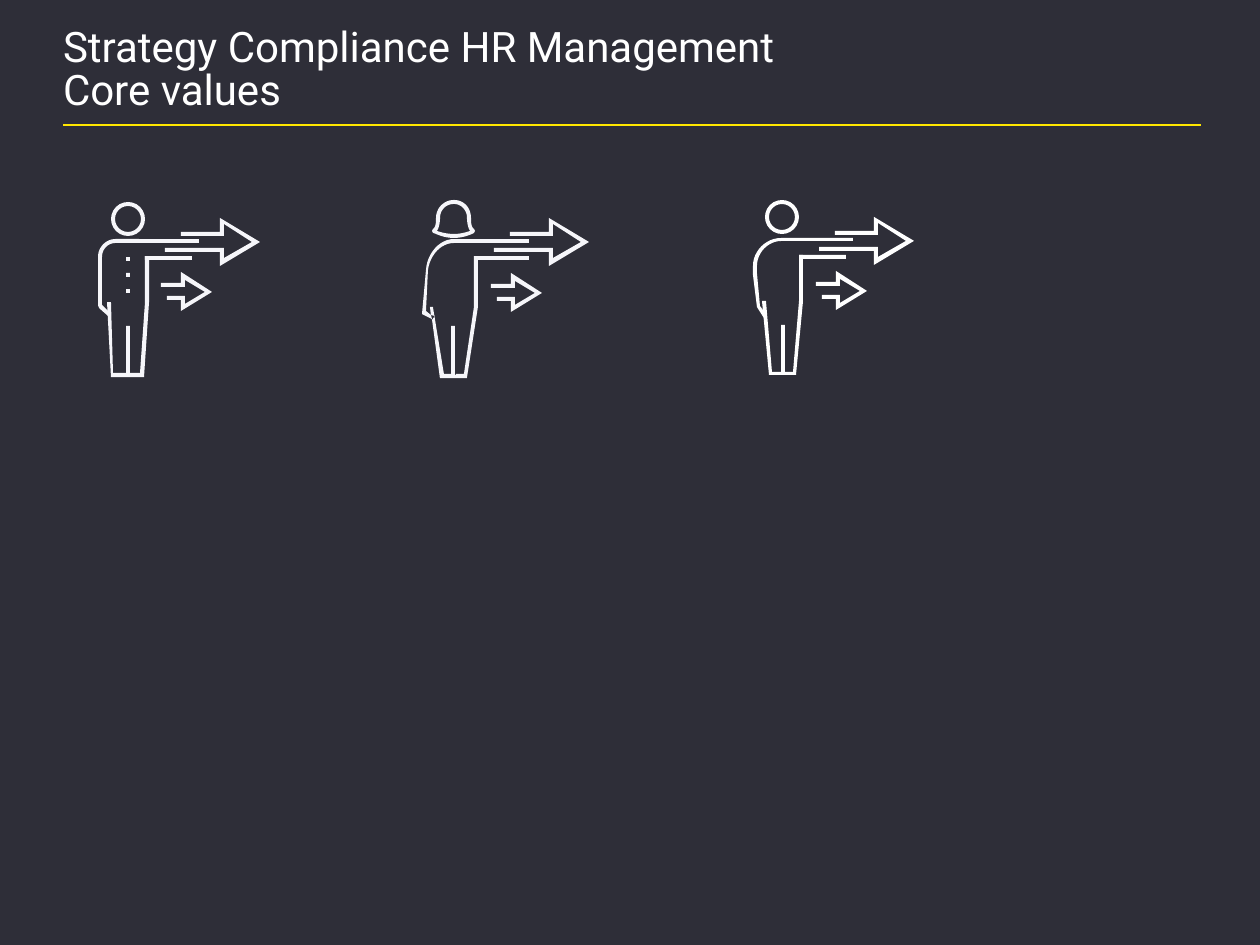
"""Build a slide with three pointing figures under a two-line title."""
from dataclasses import dataclass

import pptx
import pptx.dml.color
import pptx.enum.shapes
import pptx.enum.text
import pptx.oxml
import pptx.oxml.ns
import pptx.shapes.autoshape
import pptx.shapes.shapetree
import pptx.slide
import pptx.util

EMU_PER_PX = 914400 / 126
CURVE_STEPS = 12
STROKE = 4
BACKGROUND, RULE, WHITE, PALE = "2E2E38", "FFE600", "FFFFFF", "F6F6FA"
SHAPES = pptx.enum.shapes.MSO_SHAPE

Point = tuple[float, float]
Step = tuple[int, ...]
Outline = tuple[Step, ...]
Box = tuple[int, int, int, int]

LARGE_ARROW: Outline = (
    (55, 48), (55, 34), (0, 34), (0, 30), (59, 30), (59, 40), (87, 24),
    (59, 6), (59, 18), (16, 18), (16, 14), (55, 14), (55, 0), (95, 24))
SMALL_ARROW: Outline = (
    (20, 39), (20, 28), (6, 28), (6, 24), (24, 24), (24, 32), (44, 20),
    (24, 8), (24, 15), (0, 15), (0, 11), (20, 11), (20, 0), (51, 20))


@dataclass(frozen=True)
class Figure:
    """A person: an outline step has 2 numbers for a line, 6 for a curve."""
    colour: str
    large_arrow: tuple[int, int]
    small_arrow: tuple[int, int]
    bars: tuple[Box, ...]
    bodies: tuple[tuple[Outline, ...], ...]
    head: Box | None = None


BUTTONED = Figure(
    PALE, (165, 218), (161, 272),
    bars=((126, 239, 73, STROKE), (145, 256, 47, STROKE), (126, 326, STROKE, 49),
          *((126, 257 + 16 * row, STROKE, STROKE) for row in range(3))),
    bodies=(
        (((139, 239), (116, 239), (106, 239, 98, 247, 98, 257), (98, 304),
          (98, 305, 98, 307, 100, 309), (108, 316), (111, 314), (103, 306),
          (102, 305, 102, 305, 102, 304), (102, 257),
          (102, 249, 108, 243, 116, 243), (139, 243)),),
        (((145, 256), (145, 302), (140, 373), (113, 373), (111, 302), (107, 302),
          (111, 377), (144, 377), (149, 302), (149, 256)),)),
    head=(111, 202, 34, 34))

LONG_HAIRED = Figure(
    PALE, (494, 218), (491, 273),
    bars=((452, 239, 77, STROKE), (451, 326, STROKE, 49)),
    bodies=(
        (((454, 238), (465, 238, 474, 233, 474, 233), (475, 231), (474, 229),
          (471, 227, 471, 222, 471, 218), (471, 208, 464, 200, 454, 200),
          (444, 200, 436, 208, 436, 218), (436, 222, 436, 227, 433, 229),
          (432, 231), (433, 233), (435, 233, 442, 238, 454, 238)),
         ((440, 218), (440, 210, 446, 204, 454, 204), (461, 204, 467, 210, 467, 218),
          (467, 219, 467, 226, 470, 231), (467, 232, 461, 234, 454, 234),
          (446, 234, 440, 232, 437, 231), (440, 226, 440, 219, 440, 218))),
        (((426, 311), (428, 270), (430, 255, 441, 243, 454, 243), (454, 239),
          (440, 239, 427, 253, 426, 270), (422, 314), (432, 319), (431, 315)),),
        (((474, 256), (474, 307), (464, 374), (456, 374), (456, 375), (451, 375),
          (451, 374), (444, 374), (433, 307), (430, 307), (431, 315), (435, 316),
          (432, 320), (432, 319), (440, 378), (467, 378), (478, 307), (478, 260),
          (529, 260), (529, 256)),)))

PLAIN = Figure(
    WHITE, (819, 217), (816, 271),
    bars=((781, 325, STROKE, 49), (781, 238, 72, 3),
          (799, 255, STROKE, 47), (799, 255, 47, STROKE)),
    bodies=(
        (((796, 375), (769, 375), (762, 301), (766, 301), (772, 372), (793, 372),
          (799, 301), (803, 301)),),
        (((781, 238), (766, 238, 753, 251, 753, 266), (753, 275), (757, 307),
          (764, 318), (767, 315), (760, 306), (757, 273), (757, 266),
          (757, 252, 769, 241, 781, 241)),)),
    head=(765, 200, 34, 34))


def px(length: float) -> pptx.util.Emu:
    """Turn pixels into EMU."""
    return pptx.util.Emu(round(length * EMU_PER_PX))


def rgb(colour: str) -> pptx.dml.color.RGBColor:
    """Turn a hex string into a colour."""
    return pptx.dml.color.RGBColor.from_string(colour)


def paint(shape: pptx.shapes.autoshape.Shape, colour: str) -> None:
    """Give a shape a flat fill with no line or shadow."""
    shape.shadow.inherit = False
    shape.fill.solid()
    shape.fill.fore_color.rgb = rgb(colour)
    shape.line.fill.background()


def flatten(outline: Outline) -> list[Point]:
    """Turn the lines and cubic curves of an outline into EMU points."""
    points: list[Point] = [outline[0]]
    for step in outline[1:]:
        if len(step) == 2:
            points.append(step)
            continue
        controls = (points[-1], step[:2], step[2:4], step[4:])
        for index in range(1, CURVE_STEPS + 1):
            t = index / CURVE_STEPS
            weights = ((1 - t) ** 3, 3 * t * (1 - t) ** 2, 3 * t * t * (1 - t), t ** 3)
            x, y = (sum(w * c[axis] for w, c in zip(weights, controls)) for axis in (0, 1))
            points.append((x, y))
    return [(px(x), px(y)) for x, y in points]


def draw_outlines(shapes: pptx.shapes.shapetree.GroupShapes,
                  outlines: tuple[Outline, ...], colour: str) -> None:
    """Draw closed outlines as one filled freeform."""
    contours = [flatten(outline) for outline in outlines]
    builder = shapes.build_freeform(*contours[0][0])
    builder.add_line_segments(contours[0][1:], close=True)
    for contour in contours[1:]:
        builder.move_to(*contour[0])
        builder.add_line_segments(contour[1:], close=True)
    paint(builder.convert_to_shape(), colour)


def draw_figure(slide: pptx.slide.Slide, figure: Figure) -> None:
    """Draw one person with both arrows as a group."""
    shapes = slide.shapes.add_group_shape().shapes
    for arrow, (left, top) in ((LARGE_ARROW, figure.large_arrow),
                               (SMALL_ARROW, figure.small_arrow)):
        placed = tuple((left + x, top + y) for x, y in arrow)
        draw_outlines(shapes, (placed,), figure.colour)
    for bar in figure.bars:
        paint(shapes.add_shape(SHAPES.RECTANGLE, *map(px, bar)), figure.colour)
    if figure.head:
        head = shapes.add_shape(SHAPES.DONUT, *map(px, figure.head))
        head.adjustments[0] = STROKE / figure.head[2]
        paint(head, figure.colour)
    for body in figure.bodies:
        draw_outlines(shapes, body, figure.colour)


def draw_heading(slide: pptx.slide.Slide) -> None:
    """Fill the title and underline it."""
    title = slide.shapes.title
    title.left, title.top, title.width, title.height = map(px, (63, 28, 1134, 82))
    frame = title.text_frame
    frame.margin_left = frame.margin_top = frame.margin_right = frame.margin_bottom = 0
    frame.word_wrap = True
    frame.auto_size = pptx.enum.text.MSO_AUTO_SIZE.NONE
    frame.vertical_anchor = pptx.enum.text.MSO_ANCHOR.TOP
    frame.text = "Strategy Compliance HR Management\vCore values"
    heading = frame.paragraphs[0]
    heading.alignment = pptx.enum.text.PP_ALIGN.LEFT
    heading.line_spacing = 0.85
    heading.font.name = "Roboto"
    heading.font.size = pptx.util.Pt(24)
    heading.font.color.rgb = rgb(WHITE)
    rule = slide.shapes.add_connector(
        pptx.enum.shapes.MSO_CONNECTOR.STRAIGHT, *map(px, (63, 125, 1201, 125)))
    rule.line.color.rgb = rgb(RULE)
    rule.line.width = pptx.util.Pt(1.5)
    rule._element.spPr.append(pptx.oxml.parse_xml(
        f"<a:effectLst {pptx.oxml.ns.nsdecls('a')}/>"))


def main() -> None:
    """Build and save the slide."""
    deck = pptx.Presentation()
    deck.slide_width, deck.slide_height = px(1260), px(945)
    slide = deck.slides.add_slide(deck.slide_layouts.get_by_name("Title Only"))
    slide.background.fill.solid()
    slide.background.fill.fore_color.rgb = rgb(BACKGROUND)
    draw_heading(slide)
    for figure in (BUTTONED, LONG_HAIRED, PLAIN):
        draw_figure(slide, figure)
    deck.save("out.pptx")


if __name__ == "__main__":
    main()
